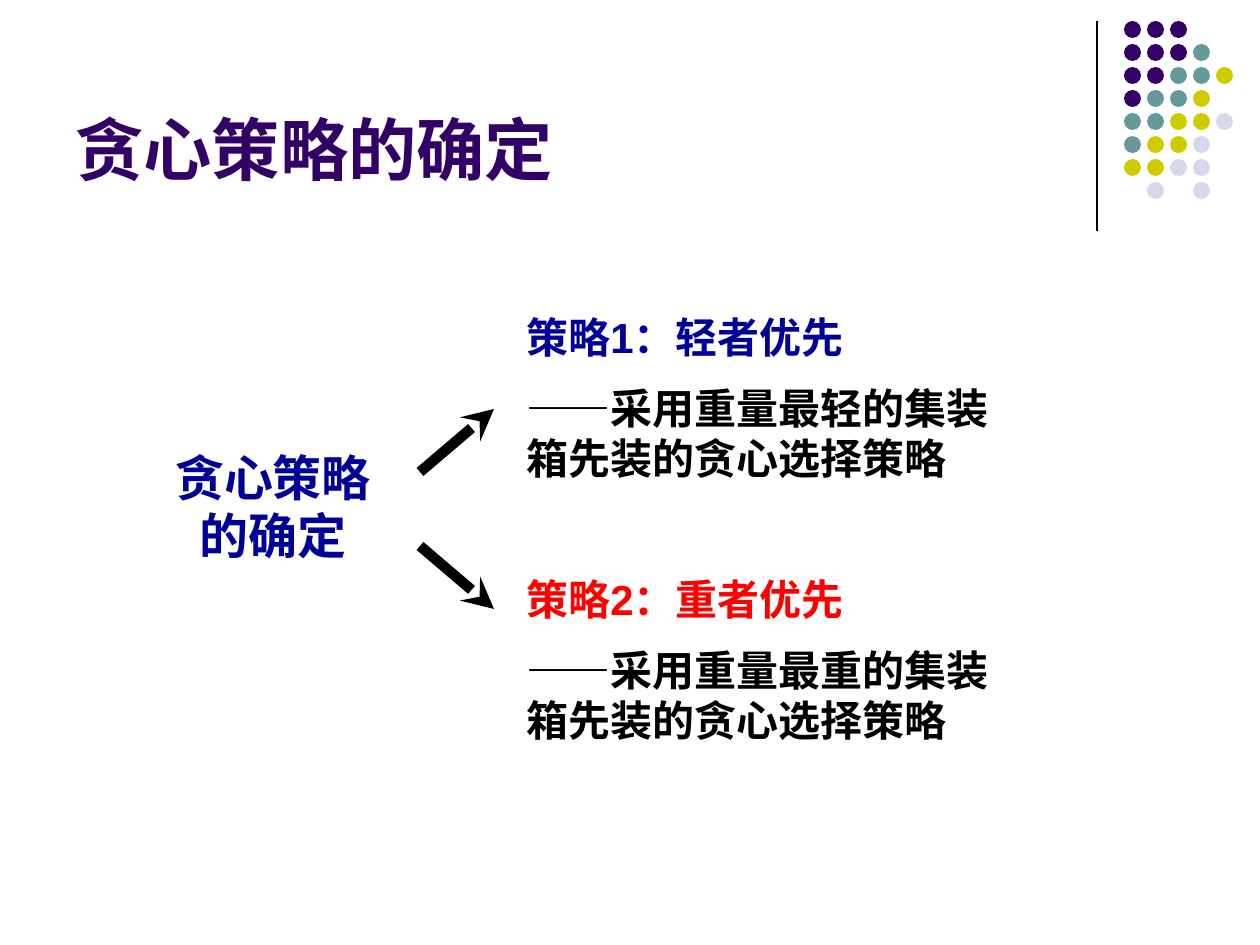
import pptx
import pptx.util
from pptx.dml.color import RGBColor
from pptx.enum.shapes import MSO_CONNECTOR, MSO_SHAPE
from pptx.enum.text import MSO_ANCHOR, PP_ALIGN
from pptx.oxml.ns import qn
from lxml import etree

PX = 914400 / 126
PURPLE = RGBColor(0x33, 0x00, 0x66)
TEAL = RGBColor(0x66, 0x99, 0x99)
OLIVE = RGBColor(0xCC, 0xCC, 0x00)
LAVENDER = RGBColor(0xD8, 0xD8, 0xEC)
NAVY = RGBColor(0x00, 0x00, 0x99)
RED = RGBColor(0xFF, 0x00, 0x00)
BLACK = RGBColor(0x00, 0x00, 0x00)

presentation = pptx.Presentation()
presentation.slide_width = round(1260 * PX)
presentation.slide_height = round(945 * PX)
slide = presentation.slides.add_slide(presentation.slide_layouts[6])


def add_text(box, size, lines, anchor=MSO_ANCHOR.TOP, align=PP_ALIGN.LEFT):
    """Add bold Arial paragraphs, given as (text, colour) pairs, in a px box."""
    frame = slide.shapes.add_textbox(*(round(n * PX) for n in box)).text_frame
    frame.word_wrap = True
    frame.vertical_anchor = anchor
    frame.text = "\n".join(text for text, _ in lines)
    for paragraph, (_, colour) in zip(frame.paragraphs, lines):
        paragraph.alignment = align
        paragraph.space_before = pptx.util.Pt(size / 2)
        font = paragraph.runs[0].font
        font.name = "Arial"
        font.size = pptx.util.Pt(size)
        font.bold = True
        font.color.rgb = colour


def add_line(ends, width):
    line = slide.shapes.add_connector(
        MSO_CONNECTOR.STRAIGHT, *(round(n * PX) for n in ends))
    line.line.color.rgb = BLACK
    line.line.width = pptx.util.Pt(width)
    etree.SubElement(line._element.spPr, qn("a:effectLst"))
    return line


# Corner ornament: a rule and a grid of dots
add_line((1097, 21, 1097, 231), 0.75)
DOT_COLOURS = {"P": PURPLE, "T": TEAL, "O": OLIVE, "L": LAVENDER}
DOT_ROWS = ["PPP", "PPPT", "PPTTO", "PTTO", "TTOOL", "TOOL", "OOLL", " L L"]
DOT_PITCH, DOT_SIZE = 23, 17
for row, codes in enumerate(DOT_ROWS):
    for column, code in enumerate(codes):
        if code == " ":
            continue
        dot = slide.shapes.add_shape(
            MSO_SHAPE.OVAL,
            round((1124 + column * DOT_PITCH) * PX),
            round((21 + row * DOT_PITCH) * PX),
            round(DOT_SIZE * PX), round(DOT_SIZE * PX))
        dot.shadow.inherit = False
        dot.fill.solid()
        dot.fill.fore_color.rgb = DOT_COLOURS[code]
        dot.line.fill.background()

# Title and the question being decided
add_text((63, 16, 1040, 179), 39, [("贪心策略的确定", PURPLE)],
         anchor=MSO_ANCHOR.BOTTOM)
add_text((147, 441, 252, 130), 28, [("贪心策略的确定", NAVY)],
         align=PP_ALIGN.CENTER)

# The two strategies, each reached by an arrow
STRATEGIES = [
    ("策略1：轻者优先", NAVY, "——采用重量最轻的集装箱先装的贪心选择策略",
     305, (420, 472, 494, 409)),
    ("策略2：重者优先", RED, "——采用重量最重的集装箱先装的贪心选择策略",
     567, (420, 546, 494, 609)),
]
for heading, colour, detail, top, arrow_ends in STRATEGIES:
    arrow = add_line(arrow_ends, 6)
    etree.SubElement(arrow.line._get_or_add_ln(), qn("a:tailEnd"), type="stealth")
    add_text((514, top, 494, 189), 24, [(heading, colour), (detail, BLACK)])

presentation.save("out.pptx")
